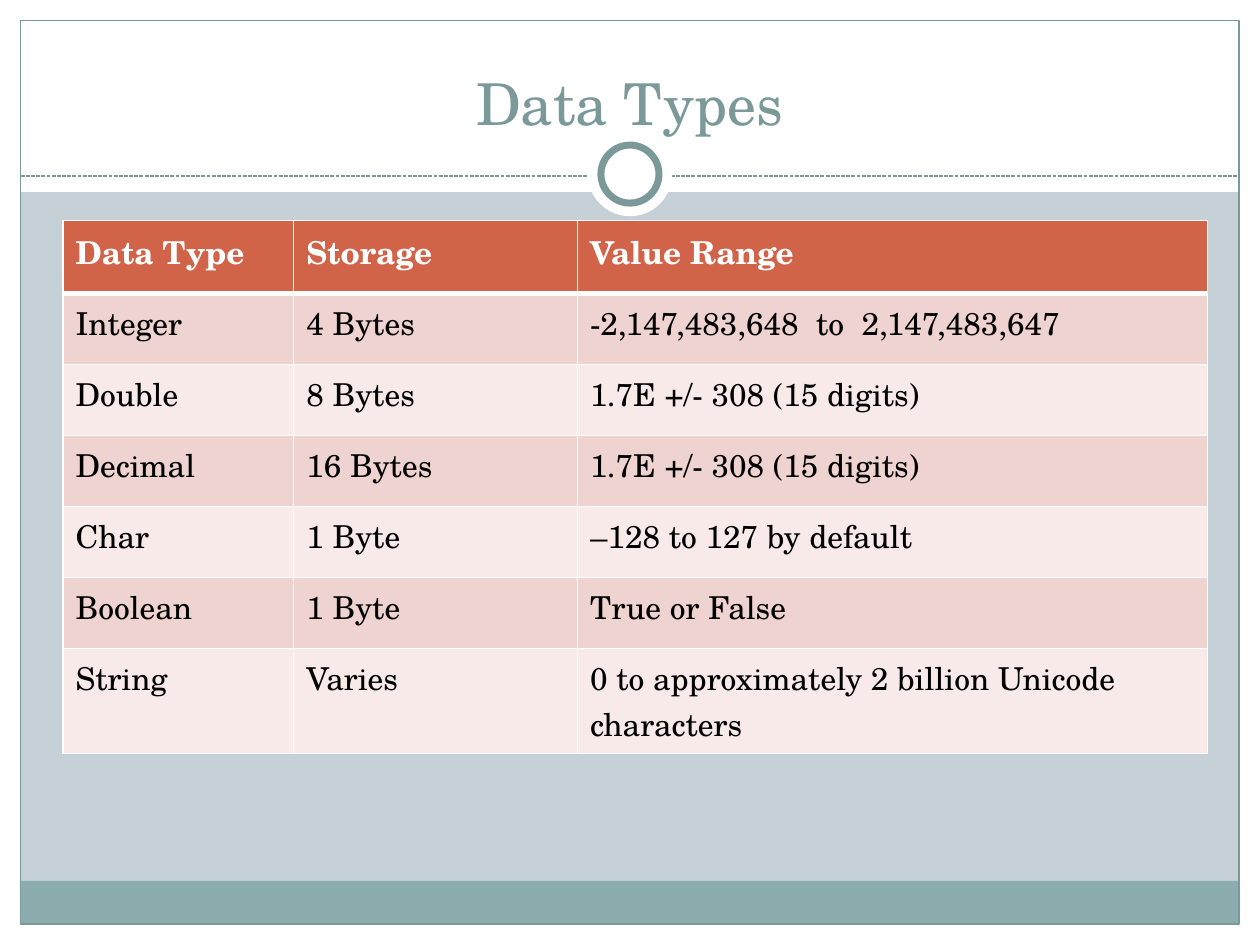
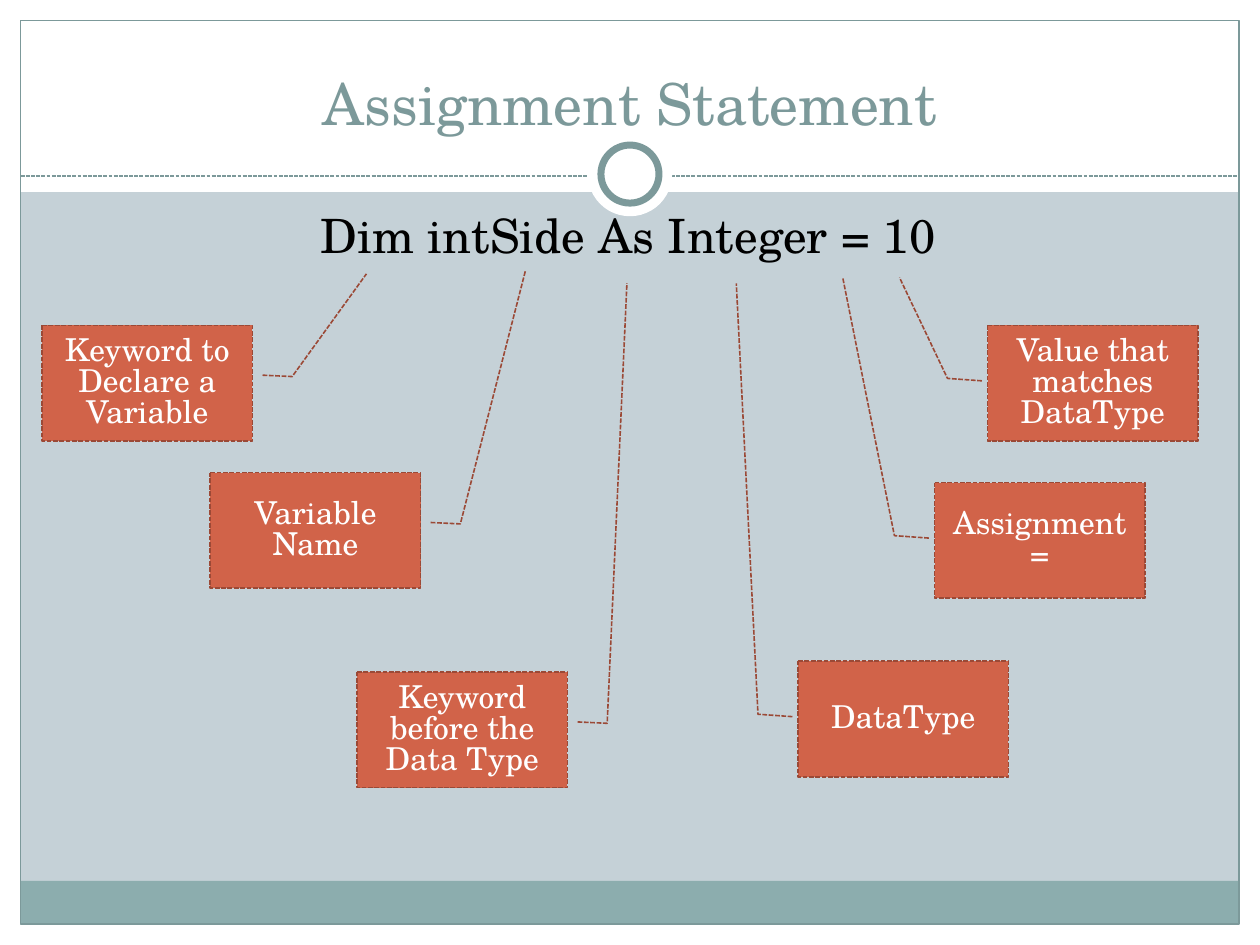
from dataclasses import dataclass

from lxml import etree
from pptx import Presentation
from pptx.dml.color import RGBColor
from pptx.enum import dml, shapes, text
from pptx.oxml import ns
from pptx.util import Cm, Pt


@dataclass(frozen=True)
class Theme:
    """Colours, font and type sizes of the deck."""
    font: str = "TeX Gyre Schola"
    white: str = "FFFFFF"
    black: str = "000000"
    backdrop: str = "C5D1D7"
    band: str = "8CADAE"
    accent: str = "7C999A"
    orange: str = "D16349"
    orange_line: str = "9B4936"
    row_fills: tuple = ("EED3D0", "F7EAE9")
    title_size: float = 33
    code_size: float = 27
    text_size: float = 18
    tight: float = 0.82


@dataclass(frozen=True)
class Box:
    """A rectangle in centimetres."""
    x: float
    y: float
    w: float
    h: float

    def emu(self):
        return Cm(self.x), Cm(self.y), Cm(self.w), Cm(self.h)


T = Theme()
PAGE = Box(0, 0, 25.4, 19.05)
MARGIN = 0.42
TITLE = Box(0.85, 0.64, 23.7, 2.12)
BODY = Box(0.85, 4.23, 23.62, 12.7)


def rgb(value):
    return RGBColor.from_string(value)


def style_line(line, color, width, dashed=False):
    """Give a line its colour, width and dash."""
    line.color.rgb = rgb(color)
    line.width = Pt(width)
    if dashed:
        line.dash_style = dml.MSO_LINE.SQUARE_DOT


def add_shape(s, kind, box, fill=None, line=None, width=0.75, dashed=False):
    """Add a preset shape without shadow; no fill or line unless named."""
    sp = s.shapes.add_shape(kind, *box.emu())
    sp.shadow.inherit = False
    if fill:
        sp.fill.solid()
        sp.fill.fore_color.rgb = rgb(fill)
    else:
        sp.fill.background()
    if line:
        style_line(sp.line, line, width, dashed)
    else:
        sp.line.fill.background()
    return sp


def write(tf, lines, size, color, align=text.PP_ALIGN.CENTER, bold=False,
          spacing=None):
    """Write one paragraph of one run for each line."""
    tf.word_wrap = True
    for i, line in enumerate(lines):
        p = tf.add_paragraph() if i else tf.paragraphs[0]
        p.alignment = align
        if spacing:
            p.line_spacing = spacing
        r = p.add_run()
        r.text = line
        r.font.name, r.font.size, r.font.bold = T.font, Pt(size), bold
        r.font.color.rgb = rgb(color)


def add_frame(s, box):
    """Draw the header, borders, footer band, rule and ring on the page."""
    rect, oval = shapes.MSO_SHAPE.RECTANGLE, shapes.MSO_SHAPE.OVAL
    inner = Box(box.x + MARGIN, box.y + MARGIN,
                box.w - 2 * MARGIN, box.h - 2 * MARGIN)
    right, bottom = inner.x + inner.w, inner.y + inner.h
    parts = [add_shape(s, rect, b, T.white) for b in (
        Box(box.x, bottom, box.w, MARGIN),
        Box(box.x, box.y, box.w, 3.87),
        Box(box.x, box.y, MARGIN, box.h),
        Box(right, box.y, MARGIN, box.h))]
    band_h = 0.87
    parts.append(add_shape(
        s, rect, Box(inner.x, bottom - band_h, inner.w, band_h), T.band))
    parts.append(add_shape(s, rect, inner, line=T.accent))

    rule_y = Cm(box.y + 3.55)
    rule = s.shapes.add_connector(shapes.MSO_CONNECTOR.STRAIGHT,
                                  Cm(inner.x), rule_y, Cm(right), rule_y)
    style_line(rule.line, T.accent, 0.75, dashed=True)
    etree.SubElement(rule.element.spPr, ns.qn("a:effectLst"))
    parts.append(rule)

    mid_x, mid_y = box.x + box.w / 2, box.y + 3.51
    for d, line in ((1.7, None), (1.17, T.accent)):
        ring = Box(mid_x - d / 2, mid_y - d / 2, d, d)
        parts.append(add_shape(s, oval, ring, T.white, line, 4))
    return parts


def share_frame(layout, s):
    """Put the frame and backdrop on the layout, drawing it first on s."""
    layout.background.fill.solid()
    layout.background.fill.fore_color.rgb = rgb(T.backdrop)
    for part in add_frame(s, PAGE):
        layout.shapes.element.append(part.element)


def set_title(s, box, title):
    """Place and format the title placeholder."""
    sp = s.shapes.title
    sp.left, sp.top, sp.width, sp.height = box.emu()
    tf = sp.text_frame
    tf.auto_size = text.MSO_AUTO_SIZE.NONE
    tf.vertical_anchor = text.MSO_ANCHOR.BOTTOM
    tf.margin_bottom = 0
    write(tf, [title], T.title_size, T.accent)


def set_borders(cell, bottom_width):
    """Draw white cell borders, the lower one with its own width."""
    tc_pr = cell._tc.get_or_add_tcPr()
    for i, side in enumerate("LRTB"):
        width = bottom_width if side == "B" else 1
        ln = etree.Element(ns.qn("a:ln" + side), w=str(Pt(width)))
        fill = etree.SubElement(ln, ns.qn("a:solidFill"))
        etree.SubElement(fill, ns.qn("a:srgbClr"), val=T.white)
        tc_pr.insert(i, ln)


def add_type_table(s, box, rows, col_widths, row_heights):
    """Add a table with an orange header and two alternating row fills."""
    table = s.shapes.add_table(len(rows), len(col_widths), *box.emu()).table
    for col, width in zip(table.columns, col_widths):
        col.width = Cm(width)
    for i, (row, height) in enumerate(zip(rows, row_heights)):
        table.rows[i].height = Cm(height)
        header = i == 0
        for j, value in enumerate(row):
            cell = table.cell(i, j)
            cell.fill.solid()
            cell.fill.fore_color.rgb = rgb(
                T.orange if header else T.row_fills[(i - 1) % 2])
            set_borders(cell, 3 if header or i == 0 else 1)
            write(cell.text_frame, [value], T.text_size,
                  T.white if header else T.black,
                  text.PP_ALIGN.LEFT, bold=header)


def add_statement(s, box, code):
    """Add the code line at the top of the body."""
    tf = s.shapes.add_textbox(*box.emu()).text_frame
    write(tf, [code], T.code_size, T.black, spacing=T.tight)
    tf.paragraphs[0].space_before = Pt(0.2 * T.code_size)


def add_callout(s, box, lines, elbow, target):
    """Add a callout whose bent leader runs to target (shares of the box)."""
    sp = add_shape(s, shapes.MSO_SHAPE.LINE_CALLOUT_2, box,
                   T.orange, T.orange_line, 0.9, dashed=True)
    for i, value in enumerate((*elbow, *target)):
        sp.adjustments[i] = value
    sp.text_frame.vertical_anchor = text.MSO_ANCHOR.MIDDLE
    write(sp.text_frame, lines, T.text_size, T.white, spacing=T.tight)


def add_callouts(s, box, callouts):
    """Add the callouts, each at its offset within the body box."""
    elbows = {"right": (0.431, 1.048, 0.443, 1.189),
              "left": (0.48, -0.027, 0.459, -0.191)}
    for dx, dy, side, target, lines in callouts:
        add_callout(s, Box(box.x + dx, box.y + dy, 4.24, 2.33),
                    lines, elbows[side], target)


DATA_TYPES = [
    ("Data Type", "Storage", "Value Range"),
    ("Integer", "4 Bytes", "-2,147,483,648  to  2,147,483,647 "),
    ("Double", "8 Bytes", "1.7E +/- 308 (15 digits)"),
    ("Decimal", "16 Bytes", "1.7E +/- 308 (15 digits)"),
    ("Char", "1 Byte", "–128 to 127 by default"),
    ("Boolean", "1 Byte", "True or False"),
    ("String", "Varies", "0 to approximately 2 billion Unicode characters"),
]
CALLOUTS = [
    (0, 2.33, "right", (-0.446, 1.542), ["Keyword to Declare a Variable"]),
    (3.39, 5.3, "right", (-1.744, 1.498), ["Variable", "Name"]),
    (6.35, 9.32, "right", (-3.366, 1.283), ["Keyword before the Data Type"]),
    (15.24, 9.1, "left", (-3.269, -0.294), ["DataType"]),
    (17.99, 5.5, "left", (-1.777, -0.437), ["Assignment ="]),
    (19.06, 2.33, "left", (-0.414, -0.419), ["Value that matches DataType"]),
]

prs = Presentation()
prs.slide_width, prs.slide_height = Cm(PAGE.w), Cm(PAGE.h)
title_only = prs.slide_layouts[5]

s = prs.slides.add_slide(title_only)
share_frame(title_only, s)
set_title(s, TITLE, "Data Types")
add_type_table(s, Box(1.27, 4.45, 23.07, 10.67), DATA_TYPES,
               (4.65, 5.72, 12.7), (1.47, *[1.43] * 5, 2.06))

s = prs.slides.add_slide(title_only)
set_title(s, TITLE, "Assignment Statement")
add_statement(s, BODY, "Dim intSide As Integer = 10")
add_callouts(s, BODY, CALLOUTS)

prs.save("out.pptx")
